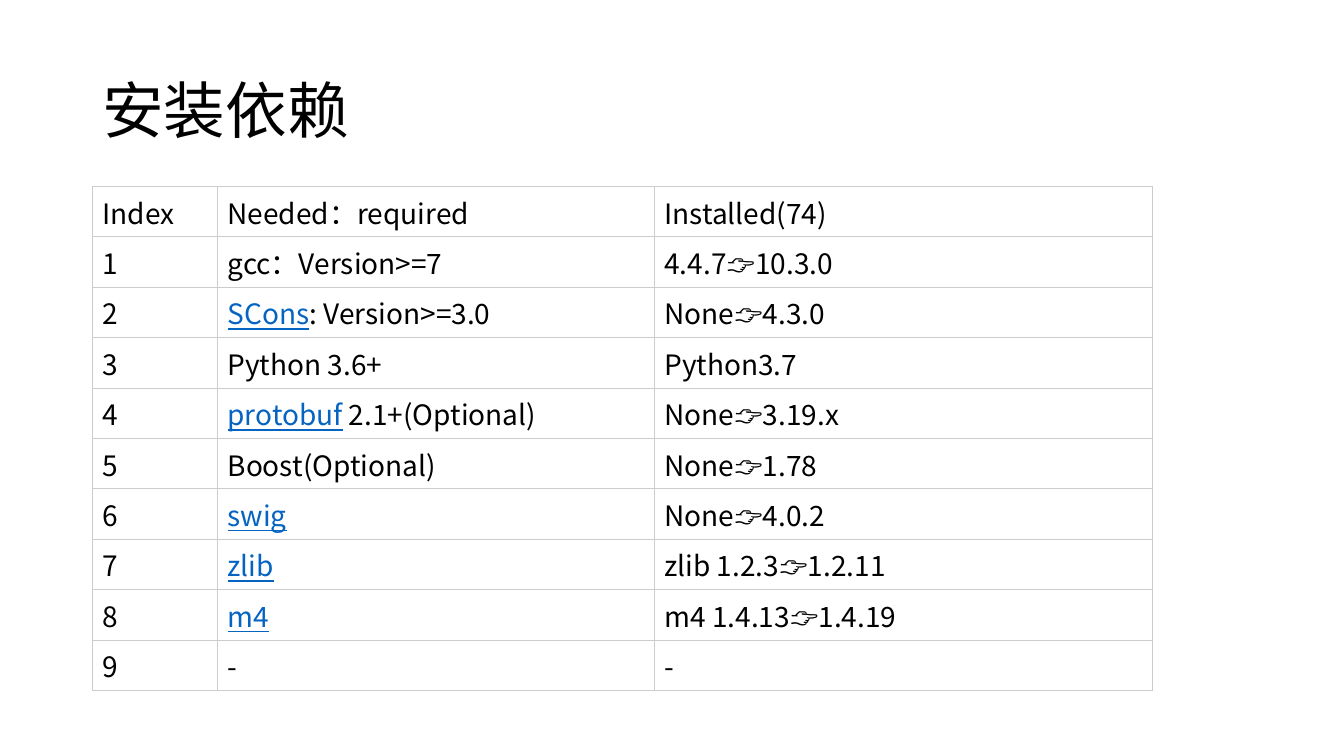
from dataclasses import dataclass

from lxml import etree
from pptx import Presentation
from pptx import util as u
from pptx.dml.color import RGBColor
from pptx.enum import text as t
from pptx.oxml import ns

FONT = "Noto Sans CJK SC"
HEX = {"ink": "000000", "link": "0563C1", "rule": "CCCCCC", "page": "FFFFFF"}
HAND = "\U0001F449"

deck = Presentation()
deck.slide_width, deck.slide_height = u.Inches(13.333), u.Inches(7.5)
slide = deck.slides.add_slide(deck.slide_layouts[6])

# Grid of 160 columns by 150 rows
LEFT = 11
WIDTHS = [14.9, 52, 59.3]
PITCH = 10


def col(n: float) -> int:
    return round(deck.slide_width * n / 160)


def row(n: float) -> int:
    return round(deck.slide_height * n / 150)


@dataclass
class Entry:
    index: str
    link: str
    need: str
    have: str


ENTRIES = [
    Entry("Index", "", "Needed:required".replace(":", "\uff1a"), "Installed(74)"),
    Entry("1", "", "gcc\uff1aVersion>=7", f"4.4.7{HAND}10.3.0"),
    Entry("2", "SCons", ": Version>=3.0", f"None{HAND}4.3.0"),
    Entry("3", "", "Python 3.6+", "Python3.7"),
    Entry("4", "protobuf", " 2.1+(Optional)", f"None{HAND}3.19.x"),
    Entry("5", "", "Boost(Optional)", f"None{HAND}1.78"),
    Entry("6", "swig", "", f"None{HAND}4.0.2"),
    Entry("7", "zlib", "", f"zlib 1.2.3{HAND}1.2.11"),
    Entry("8", "m4", "", f"m4 1.4.13{HAND}1.4.19"),
    Entry("9", "", "-", "-"),
]


def write(para, words: str, size: float = 20, color: str = "ink",
          under: bool = False) -> None:
    """Add one run of formatted text, if there are words."""
    if not words:
        return
    run = para.add_run()
    run.text = words
    font = run.font
    font.size, font.name, font.underline = u.Pt(size), FONT, under
    font.color.rgb = RGBColor.from_string(HEX[color])
    east = etree.SubElement(run._r.get_or_add_rPr(), ns.qn("a:ea"))
    east.set("typeface", FONT)


def frame(cell) -> None:
    """Draw thin rules round a cell and give it a plain fill."""
    props = cell._tc.get_or_add_tcPr()
    for side in ("lnL", "lnR", "lnT", "lnB"):
        line = etree.SubElement(props, ns.qn(f"a:{side}"), w=str(u.Pt(0.75)))
        fill = etree.SubElement(line, ns.qn("a:solidFill"))
        etree.SubElement(fill, ns.qn("a:srgbClr"), val=HEX["rule"])
    cell.fill.solid()
    cell.fill.fore_color.rgb = RGBColor.from_string(HEX["page"])
    cell.vertical_anchor = t.MSO_ANCHOR.MIDDLE


# Title
title = slide.shapes.add_textbox(col(LEFT), row(8), col(138), row(29)).text_frame
title.word_wrap = True
title.vertical_anchor = t.MSO_ANCHOR.MIDDLE
title.paragraphs[0].line_spacing = 0.9
write(title.paragraphs[0], "安装依赖", size=44)

# Table of dependencies
table = slide.shapes.add_table(
    len(ENTRIES), len(WIDTHS), col(LEFT), row(37),
    col(sum(WIDTHS)), row(PITCH * len(ENTRIES))).table
table.first_row = table.horz_banding = False
for lane, width in zip(table.columns, WIDTHS):
    lane.width = col(width)

for line, entry in zip(table.rows, ENTRIES):
    line.height = row(PITCH)
    for cell in line.cells:
        frame(cell)
    first, middle, last = (cell.text_frame.paragraphs[0] for cell in line.cells)
    write(first, entry.index)
    write(middle, entry.link, color="link", under=True)
    write(middle, entry.need)
    write(last, entry.have)

deck.save("out.pptx")
